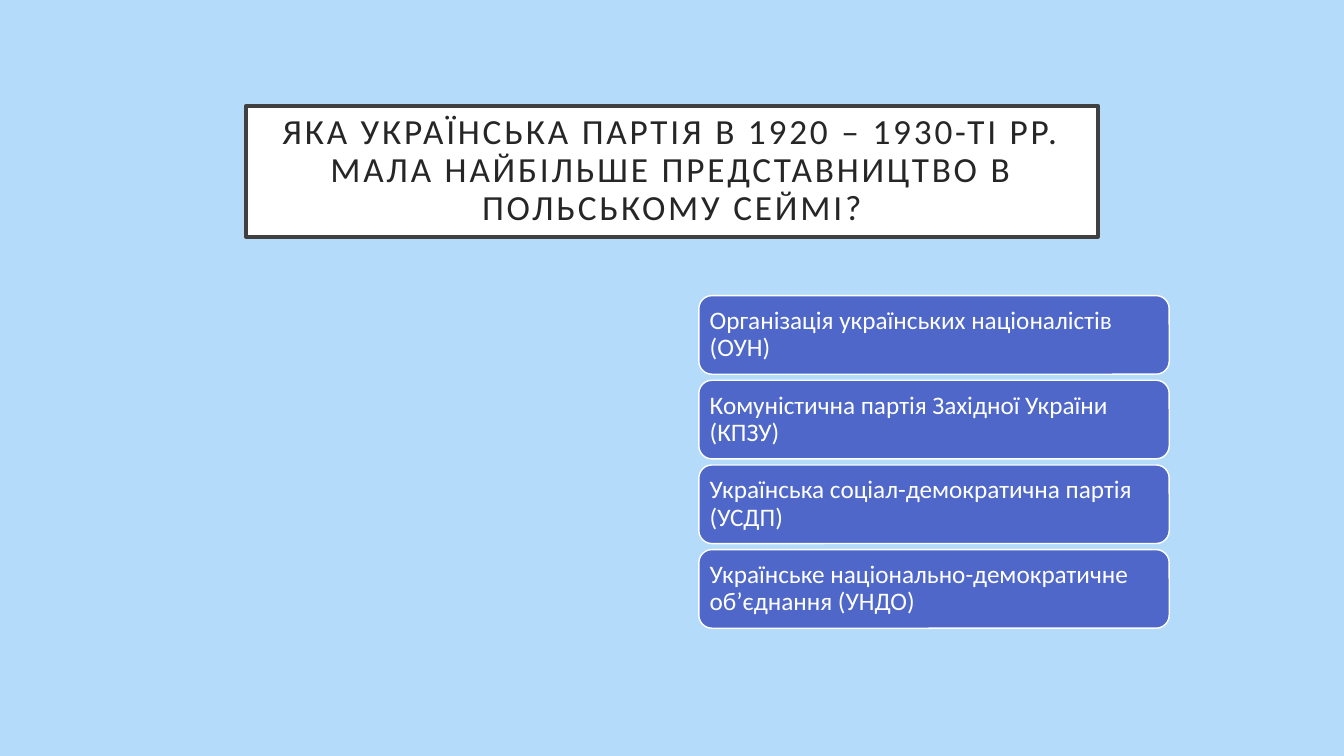
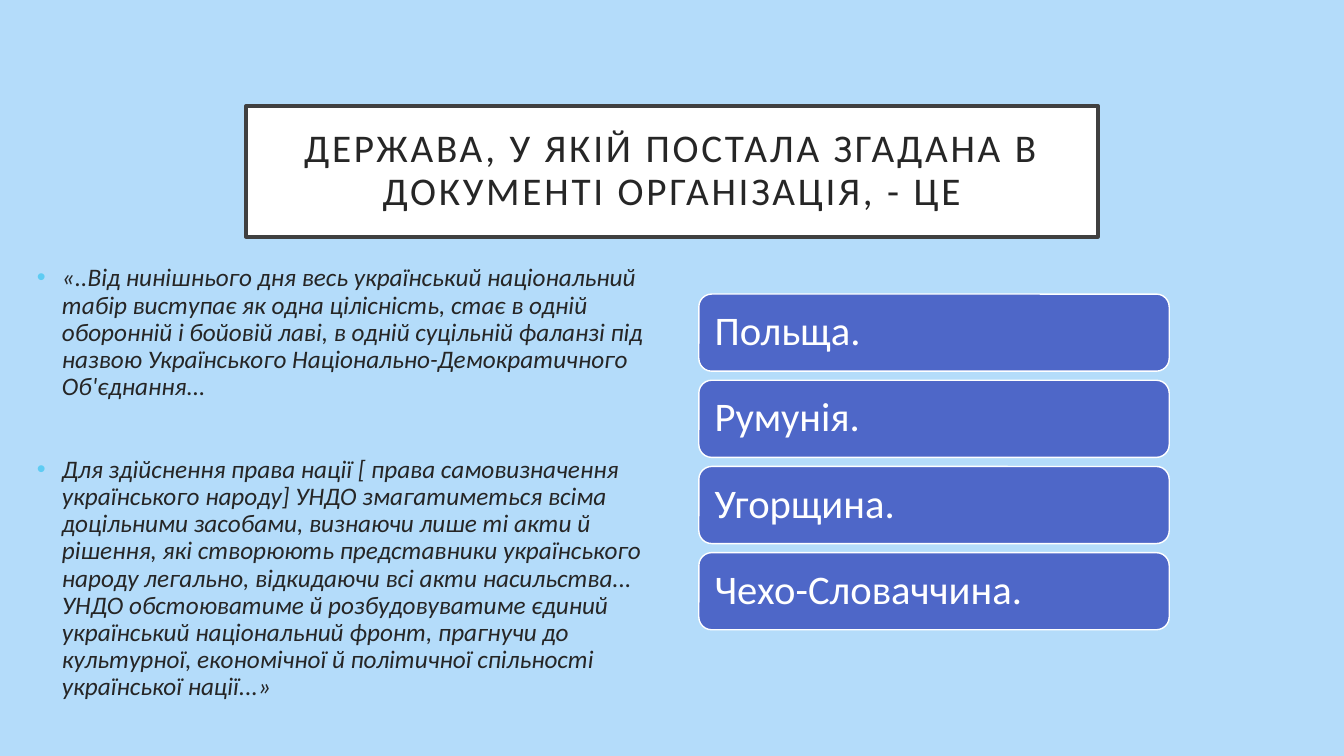
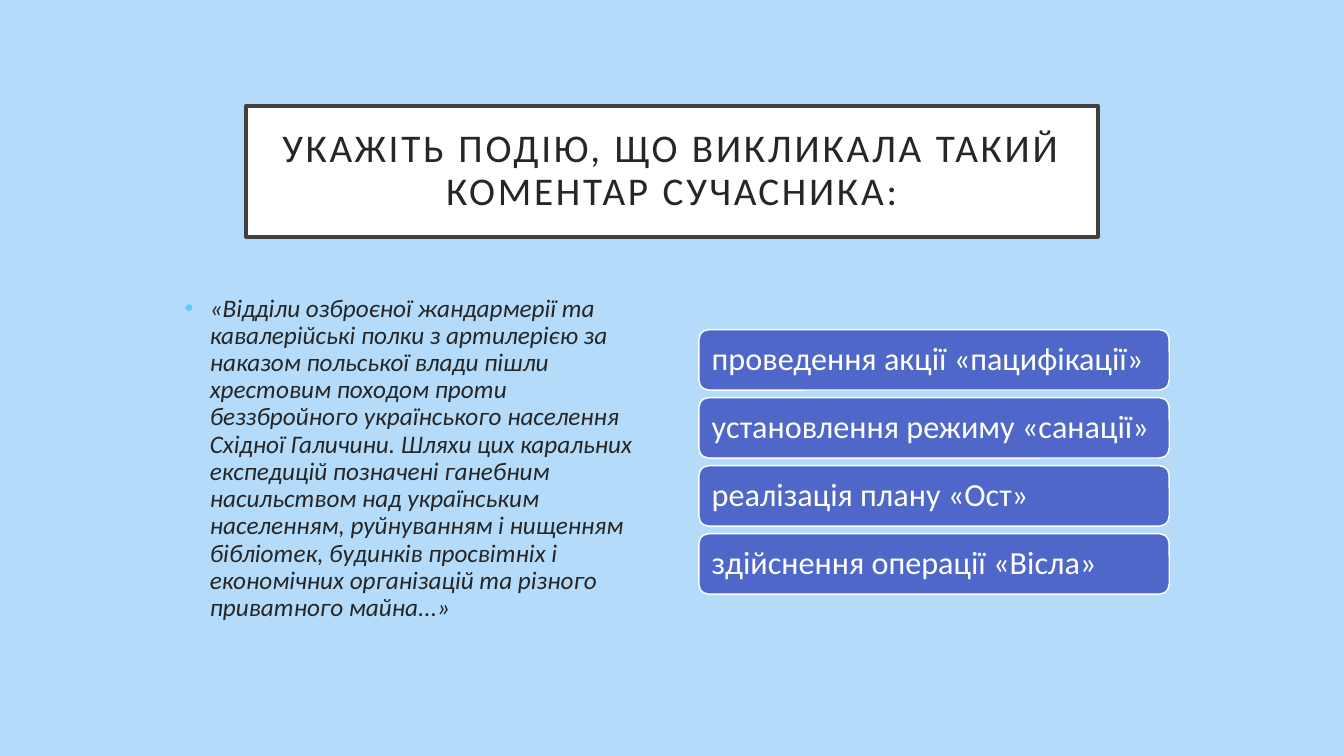
"""Three quiz slides: a framed question, an optional quotation and four answers."""
from lxml import etree
from pptx import Presentation
from pptx.dml.color import RGBColor
from pptx.enum.shapes import MSO_SHAPE as Shape
from pptx.enum.text import MSO_ANCHOR as Anchor, PP_ALIGN as Align
from pptx.oxml.ns import qn
from pptx.util import Inches, Pt

COLORS = {
    "sky": "B4DCFA",
    "white": "FFFFFF",
    "frame": "404040",
    "ink": "262626",
    "answer": "4E67C8",
    "bullet": "5ECCF3",
}
FONT = "Calibri"
SLIDE_W, SLIDE_H = Inches(13.33), Inches(7.5)
COLUMN, ROW = SLIDE_W / 100, SLIDE_H / 100
TITLE_TOP, TITLE_COLS, TITLE_ROWS = 14, 63.4, 17.33
ANSWER_LEFT, ANSWER_COLS, ANSWER_MIDDLE = 52, 35, 61.1

QUIZ = [
    {
        "question": "ЯКА УКРАЇНСЬКА ПАРТІЯ В 1920 – 1930-ТІ РР. МАЛА НАЙБІЛЬШЕ "
                    "ПРЕДСТАВНИЦТВО В ПОЛЬСЬКОМУ СЕЙМІ?",
        "question_size": 25.2,
        "answers": [
            "Організація українських націоналістів (ОУН)",
            "Комуністична партія Західної України (КПЗУ)",
            "Українська соціал-демократична партія (УСДП)",
            "Українське національно-демократичне об’єднання (УНДО)",
        ],
        "answer_style": {"rows": 10.4, "gap": 0.8, "size": 18, "inset": 0.07},
    },
    {
        "question": "ДЕРЖАВА, У ЯКІЙ ПОСТАЛА ЗГАДАНА В ДОКУМЕНТІ ОРГАНІЗАЦІЯ, - ЦЕ",
        "question_size": 28,
        "quotation": [
            "«..Від нинішнього дня весь український національний табір виступає "
            "як одна цілісність, стає в одній оборонній і бойовій лаві, в одній "
            "суцільній фаланзі під назвою Українського Національно-Демократичного "
            "Об'єднання...",
            "Для здійснення права нації [ права самовизначення українського народу] "
            "УНДО змагатиметься всіма доцільними засобами, визнаючи лише ті акти й "
            "рішення, які створюють представники українського народу легально, "
            "відкидаючи всі акти насильства... УНДО обстоюватиме й розбудовуватиме "
            "єдиний український національний фронт, прагнучи до культурної, "
            "економічної й політичної спільності української нації...»",
        ],
        "quotation_area": (2, 34.4, 48, 59.5),
        "answers": ["Польща.", "Румунія.", "Угорщина.", "Чехо-Словаччина."],
        "answer_style": {"rows": 10.2, "gap": 1.2, "size": 29, "inset": 0.12},
    },
    {
        "question": "УКАЖІТЬ ПОДІЮ, ЩО ВИКЛИКАЛА ТАКИЙ КОМЕНТАР СУЧАСНИКА:",
        "question_size": 28,
        "quotation": [
            "«Відділи озброєної жандармерії та кавалерійські полки з артилерією за "
            "наказом польської влади пішли хрестовим походом проти беззбройного "
            "українського населення Східної Галичини. Шляхи цих каральних експедицій "
            "позначені ганебним насильством над українським населенням, руйнуванням "
            "і нищенням бібліотек, будинків просвітніх і економічних організацій та "
            "різного приватного майна...»",
        ],
        "quotation_area": (13, 38.4, 35, 45.2),
        "answers": [
            "проведення акції «пацифікації»",
            "установлення режиму «санації»",
            "реалізація плану «Ост»",
            "здійснення операції «Вісла»",
        ],
        "answer_style": {"rows": 8, "gap": 1, "size": 23, "inset": 0.1},
    },
]


def rgb(name):
    """Look up a palette colour."""
    return RGBColor.from_string(COLORS[name])


def place(left, top, cols, rows):
    """Turn grid columns and rows into slide lengths."""
    return [round(v) for v in (left * COLUMN, top * ROW, cols * COLUMN, rows * ROW)]


def add_bullet(paragraph):
    """Give a paragraph a coloured bullet with a hanging indent."""
    props = paragraph._p.get_or_add_pPr()
    props.set("marL", str(Inches(0.25)))
    props.set("indent", str(-Inches(0.25)))
    color = etree.SubElement(props, qn("a:buClr"))
    etree.SubElement(color, qn("a:srgbClr"), val=COLORS["bullet"])
    etree.SubElement(props, qn("a:buFont"), typeface="Arial")
    etree.SubElement(props, qn("a:buChar"), char="•")


def write(frame, paragraphs, size, color="ink", align=Align.LEFT, anchor=Anchor.MIDDLE,
          inset=None, italic=False, spacing=0, bullets=False, gap=0):
    """Fill a text frame with evenly formatted paragraphs."""
    frame.word_wrap = True
    frame.vertical_anchor = anchor
    if inset is not None:
        frame.margin_left = frame.margin_right = Inches(inset)
        frame.margin_top = frame.margin_bottom = Inches(inset)
    for index, text in enumerate(paragraphs):
        paragraph = frame.add_paragraph() if index else frame.paragraphs[0]
        if bullets:
            add_bullet(paragraph)
        paragraph.alignment = align
        paragraph.line_spacing = 0.9
        if index:
            paragraph.space_before = Pt(gap)
        run = paragraph.add_run()
        run.text = text
        run.font.name, run.font.size = FONT, Pt(size)
        run.font.italic = italic
        run.font.color.rgb = rgb(color)
        if spacing:
            run.font._element.set("spc", str(spacing * 100))


def add_panel(slide, kind, area, fill, line, weight):
    """Draw a filled and outlined panel and return its text frame."""
    panel = slide.shapes.add_shape(kind, *place(*area))
    panel.shadow.inherit = False
    panel.fill.solid()
    panel.fill.fore_color.rgb = rgb(fill)
    panel.line.color.rgb = rgb(line)
    panel.line.width = Pt(weight)
    return panel.text_frame


def add_question(slide, question, size):
    """Put the question in a centred white frame."""
    area = ((100 - TITLE_COLS) / 2, TITLE_TOP, TITLE_COLS, TITLE_ROWS)
    frame = add_panel(slide, Shape.RECTANGLE, area, "white", "frame", 2.5)
    write(frame, [question], size, align=Align.CENTER, inset=0.2, spacing=2)


def add_quotation(slide, quotation, area):
    """Set the quoted source as italic bullets."""
    frame = slide.shapes.add_textbox(*place(*area)).text_frame
    write(frame, quotation, 18, anchor=Anchor.TOP, italic=True, bullets=True, gap=39.5)


def add_answers(slide, answers, rows, gap, size, inset):
    """Stack the answers evenly about a common middle."""
    pitch = rows + gap
    first = ANSWER_MIDDLE - (len(answers) * pitch - gap) / 2
    for index, answer in enumerate(answers):
        area = (ANSWER_LEFT, first + index * pitch, ANSWER_COLS, rows)
        frame = add_panel(slide, Shape.ROUNDED_RECTANGLE, area, "answer", "white", 1)
        write(frame, [answer], size, color="white", inset=inset)


def main():
    """Build and save the quiz."""
    deck = Presentation()
    deck.slide_width, deck.slide_height = SLIDE_W, SLIDE_H
    for item in QUIZ:
        slide = deck.slides.add_slide(deck.slide_layouts[6])
        slide.background.fill.solid()
        slide.background.fill.fore_color.rgb = rgb("sky")
        add_question(slide, item["question"], item["question_size"])
        if "quotation" in item:
            add_quotation(slide, item["quotation"], item["quotation_area"])
        add_answers(slide, item["answers"], **item["answer_style"])
    deck.save("out.pptx")


if __name__ == "__main__":
    main()
